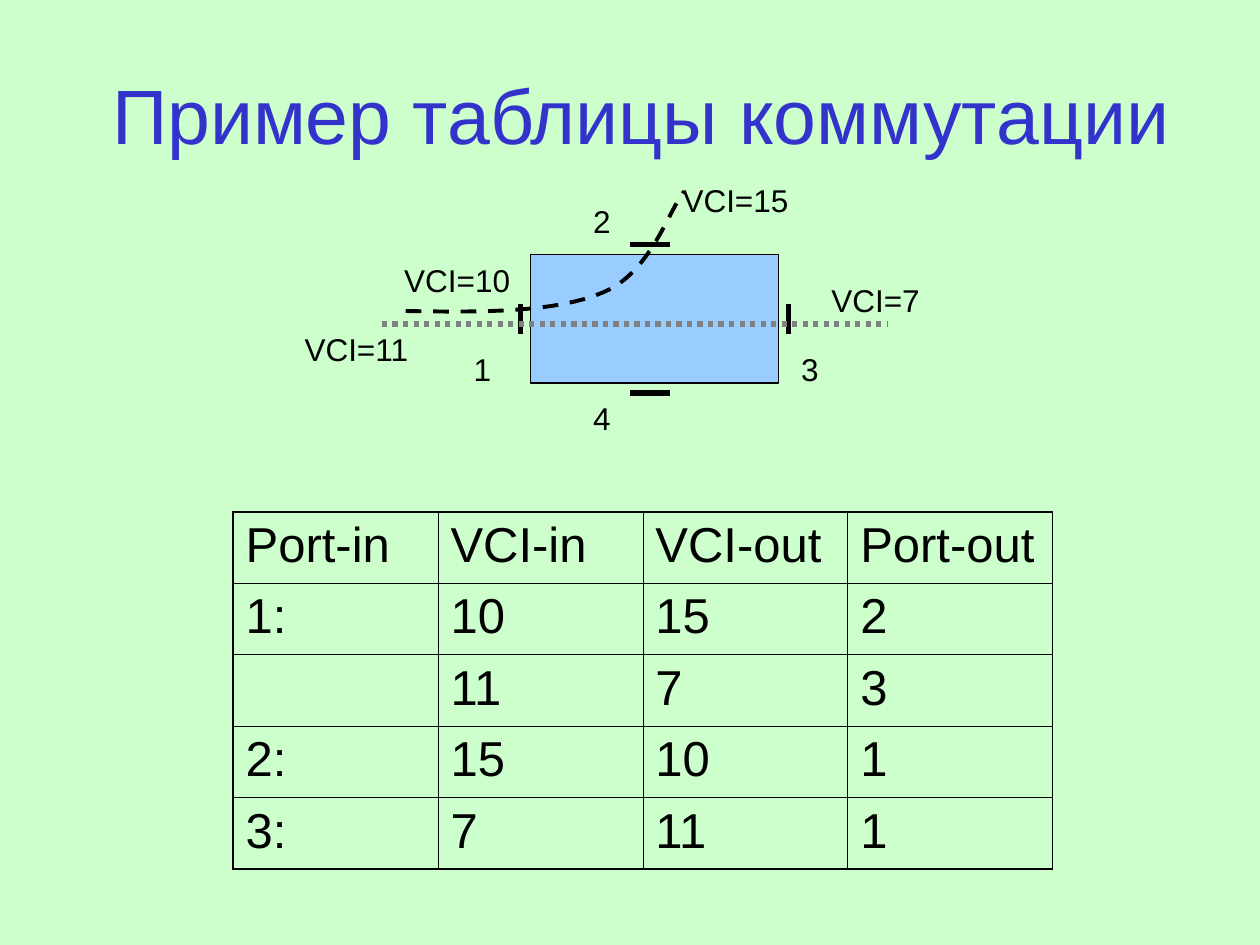
from lxml import etree
from pptx import Presentation
from pptx.dml.color import RGBColor
from pptx.enum.dml import MSO_LINE
from pptx.enum.shapes import MSO_CONNECTOR, MSO_SHAPE
from pptx.enum.text import MSO_ANCHOR, MSO_AUTO_SIZE, PP_ALIGN
from pptx.oxml.ns import qn
from pptx.util import Cm, Pt

RECTANGLE = MSO_SHAPE.RECTANGLE
STRAIGHT = MSO_CONNECTOR.STRAIGHT
DASH, DOT = MSO_LINE.DASH, MSO_LINE.ROUND_DOT
MIDDLE, CENTER = MSO_ANCHOR.MIDDLE, PP_ALIGN.CENTER
FIT_SHAPE = MSO_AUTO_SIZE.SHAPE_TO_FIT_TEXT

COLORS = {
    "background": "CCFFCC",
    "title": "3333CC",
    "text": "000000",
    "switch": "99CCFF",
    "channel": "808080",
}
FONT = "Arial"
THIN, THICK = 0.45, 1.08

# All places are in centimetres.
SWITCH = {"left": 10.69, "top": 5.13, "width": 5.0, "height": 2.59}
PORT_GAP = 0.2
CURVE_START = (8.18, 6.27)
CURVE_SEGMENTS = [
    ((9.7, 6.3), (11.23, 6.3), (12.17, 5.89)),
    ((13.11, 5.51), (13.51, 4.19), (13.79, 3.86)),
]
LABELS = [
    ("1", 9.3, 6.93, 0.86),
    ("2", 11.71, 3.94, 0.86),
    ("3", 15.9, 6.93, 0.86),
    ("4", 11.71, 7.92, 0.86),
    ("VCI=10", 7.9, 5.13, 2.64),
    ("VCI=15", 13.51, 3.53, 2.64),
    ("VCI=11", 5.89, 6.53, 2.64),
    ("VCI=7", 16.51, 5.54, 2.29),
]
ROWS = [
    ("Port-in", "VCI-in", "VCI-out", "Port-out"),
    ("1:", "10", "15", "2"),
    ("", "11", "7", "3"),
    ("2:", "15", "10", "1"),
    ("3:", "7", "11", "1"),
]


def rgb(name):
    return RGBColor.from_string(COLORS[name])


def set_format(target, values):
    for name, value in values.items():
        setattr(target, name, value)


def write(text_frame, text, size, color="text"):
    paragraph = text_frame.paragraphs[0]
    run = paragraph.add_run()
    run.text = text
    set_format(run.font, {"name": FONT, "size": Pt(size)})
    run.font.color.rgb = rgb(color)
    return paragraph


def set_line(line, width, color="text", dash=None):
    line.color.rgb = rgb(color)
    set_format(line, {"width": Pt(width), "dash_style": dash})


def add_title(slide, text):
    title = slide.shapes.title
    set_format(title, {"left": Cm(1.5), "top": Cm(0.71),
                       "width": Cm(22.86), "height": Cm(3.18)})
    title.text_frame.vertical_anchor = MIDDLE
    write(title.text_frame, text, 44, "title").alignment = CENTER


def set_borders(cell, widths):
    """Draw the cell's sides; widths maps L, R, T and B to points."""
    properties = cell._tc.get_or_add_tcPr()
    for side, width in widths.items():
        border = etree.SubElement(properties, qn(f"a:ln{side}"), w=str(Pt(width)))
        fill = etree.SubElement(border, qn("a:solidFill"))
        etree.SubElement(fill, qn("a:srgbClr"), val=COLORS["text"])


def add_switching_table(slide, left, top, column_width, row_height):
    last_row, last_column = len(ROWS) - 1, len(ROWS[0]) - 1
    table = slide.shapes.add_table(
        len(ROWS), len(ROWS[0]), Cm(left), Cm(top),
        Cm(column_width * len(ROWS[0])), Cm(row_height * len(ROWS))).table
    set_format(table, {"first_row": False, "horz_banding": False})
    for row_index, row in enumerate(ROWS):
        for column_index, text in enumerate(row):
            cell = table.cell(row_index, column_index)
            set_borders(cell, {
                "L": THICK if column_index == 0 else THIN,
                "R": THICK if column_index == last_column else THIN,
                "T": THICK if row_index == 0 else THIN,
                "B": THICK if row_index == last_row else THIN,
            })
            cell.fill.background()
            if text:
                write(cell.text_frame, text, 28).space_before = Pt(7)


def add_switch(slide):
    switch = slide.shapes.add_shape(
        RECTANGLE, *(Cm(SWITCH[key]) for key in ("left", "top", "width", "height")))
    switch.shadow.inherit = False
    switch.fill.solid()
    switch.fill.fore_color.rgb = rgb("switch")
    set_line(switch.line, 0.75)


def add_line(slide, start, end, **line_format):
    connector = slide.shapes.add_connector(
        STRAIGHT, *(Cm(value) for value in (*start, *end)))
    etree.SubElement(connector._element.spPr, qn("a:effectLst"))
    set_line(connector.line, 3, **line_format)


def add_ports(slide):
    left, top = SWITCH["left"], SWITCH["top"]
    right, bottom = left + SWITCH["width"], top + SWITCH["height"]
    for x in (left - PORT_GAP, right + PORT_GAP):
        add_line(slide, (x, 6.12), (x, 6.73))
    for y in (top - PORT_GAP, bottom + PORT_GAP):
        add_line(slide, (12.7, y), (13.51, y))


def bezier_points(start, segments, steps=16):
    """Return points along joined cubic curves, without the first one."""
    points = []
    for first, second, end in segments:
        for step in range(1, steps + 1):
            t = step / steps
            weights = ((1 - t) ** 3, 3 * t * (1 - t) ** 2, 3 * t ** 2 * (1 - t), t ** 3)
            controls = (start, first, second, end)
            points.append(tuple(
                Cm(sum(w * point[axis] for w, point in zip(weights, controls)))
                for axis in (0, 1)))
        start = end
    return points


def add_curved_channel(slide):
    builder = slide.shapes.build_freeform(*(Cm(value) for value in CURVE_START))
    builder.add_line_segments(bezier_points(CURVE_START, CURVE_SEGMENTS), close=False)
    curve = builder.convert_to_shape()
    curve.shadow.inherit = False
    curve.fill.background()
    set_line(curve.line, 2.25, dash=DASH)


def add_label(slide, text, left, top, width):
    box = slide.shapes.add_textbox(Cm(left), Cm(top), Cm(width), Cm(1.02))
    set_format(box.text_frame, {"word_wrap": False, "auto_size": FIT_SHAPE})
    write(box.text_frame, text, 18)


def main():
    presentation = Presentation()
    set_format(presentation, {"slide_width": Cm(25.4), "slide_height": Cm(19.05)})
    slide = presentation.slides.add_slide(presentation.slide_layouts[5])
    slide.background.fill.solid()
    slide.background.fill.fore_color.rgb = rgb("background")

    add_title(slide, "Пример таблицы коммутации")
    add_switching_table(slide, left=4.7, top=10.32, column_width=4.13, row_height=1.44)
    add_switch(slide)
    add_ports(slide)
    add_line(slide, (7.7, 6.53), (17.91, 6.53), color="channel", dash=DOT)
    add_curved_channel(slide)
    for label in LABELS:
        add_label(slide, *label)
    presentation.save("out.pptx")


if __name__ == "__main__":
    main()
